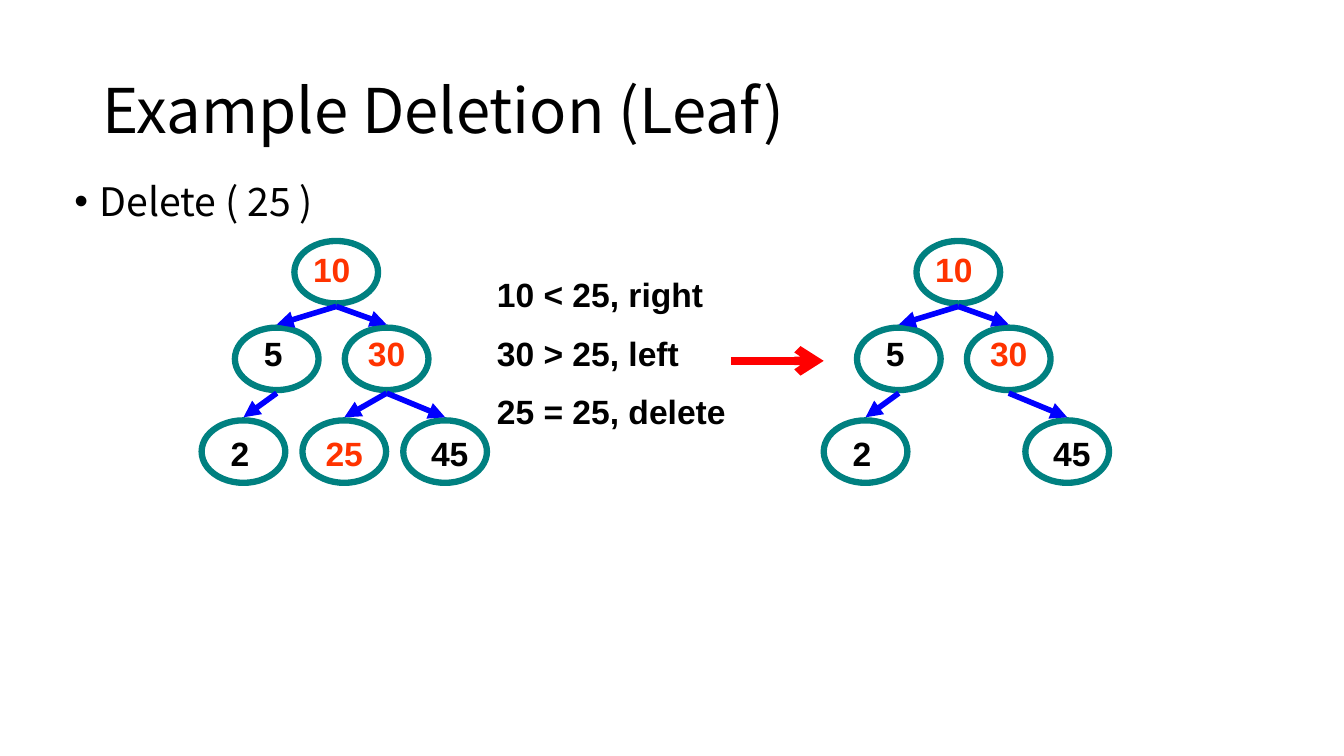
from pptx import Presentation
from pptx.dml.color import RGBColor
from pptx.enum.shapes import MSO_CONNECTOR, MSO_SHAPE
from pptx.enum.text import MSO_ANCHOR, PP_ALIGN
from pptx.oxml.ns import qn
from pptx.util import Inches, Pt
from lxml.etree import SubElement

HEADING_FONT, BODY_FONT = "Noto Sans CJK KR", "Arial"
BLACK, VISITED, TEAL, BLUE, RED = "000000", "FF3300", "008080", "0000FF", "FF0000"
NODE_W, NODE_H, EDGE_GAP = 0.83, 0.62, 0.03

# key: (node x, node y, label dx, label dy, label width), from the tree's corner
NODES = {
    10: (0.92, 0, 0.08, 0.03, 0.58),
    5: (0.33, 0.86, 0.17, 0, 0.42),
    30: (1.42, 0.86, 0.08, 0, 0.67),
    2: (0, 1.78, 0.17, 0.08, 0.42),
    25: (1, 1.78, 0.08, 0.08, 0.67),
    45: (2, 1.78, 0.17, 0.08, 0.58),
}
PARENTS = {5: 10, 30: 10, 2: 5, 25: 30, 45: 30}
SEARCH_PATH = (10, 30, 25)


def color(hex_string):
    return RGBColor.from_string(hex_string)


def add_text(slide, left, top, width, height, lines, size, font,
             ink=BLACK, bold=False, align=PP_ALIGN.LEFT, margin=0.1):
    box = slide.shapes.add_textbox(Inches(left), Inches(top), Inches(width), Inches(height))
    frame = box.text_frame
    frame.word_wrap = True
    frame.margin_left = frame.margin_right = Inches(margin)
    for index, line in enumerate(lines):
        paragraph = frame.paragraphs[0] if index == 0 else frame.add_paragraph()
        paragraph.alignment = align
        run = paragraph.add_run()
        run.text = line
        run.font.size = Pt(size)
        run.font.name = font
        run.font.bold = bold
        run.font.color.rgb = color(ink)
        # East Asian typeface keeps the same family for every script
        SubElement(run.font._element, qn("a:ea")).set("typeface", font)
    return frame


def add_arrow(slide, x1, y1, x2, y2, ink, weight, head):
    arrow = slide.shapes.add_connector(
        MSO_CONNECTOR.STRAIGHT, Inches(x1), Inches(y1), Inches(x2), Inches(y2))
    arrow.line.color.rgb = color(ink)
    arrow.line.width = Pt(weight)
    SubElement(arrow.line._get_or_add_ln(), qn("a:tailEnd")).set("type", head)
    SubElement(arrow._element.spPr, qn("a:effectLst"))


def add_title(slide, left, top, width, height):
    frame = add_text(slide, left, top, width, height,
                     ["Example Deletion (Leaf)"], 44, HEADING_FONT)
    frame.vertical_anchor = MSO_ANCHOR.MIDDLE
    frame.paragraphs[0].line_spacing = 0.9


def add_task(slide, left, top, width, height):
    frame = add_text(slide, left, top, width, height, ["Delete ( 25 )"], 28, HEADING_FONT)
    task = frame.paragraphs[0]
    task.line_spacing = 0.9
    properties = task._p.get_or_add_pPr()
    properties.set("marL", str(Inches(0.25)))
    properties.set("indent", str(Inches(-0.25)))
    SubElement(properties, qn("a:buFont")).set("typeface", "Arial")
    SubElement(properties, qn("a:buChar")).set("char", "•")


def add_steps(slide, left, top, width, height):
    steps = ["10 < 25, right", "30 > 25, left", "25 = 25, delete"]
    frame = add_text(slide, left, top, width, height, steps, 24, BODY_FONT, bold=True)
    for step in frame.paragraphs[1:]:
        step.space_before = Pt(13)


def add_tree(slide, left, top, keys):
    # Nodes
    for key in keys:
        x, y = NODES[key][:2]
        node = slide.shapes.add_shape(MSO_SHAPE.OVAL, Inches(left + x), Inches(top + y),
                                      Inches(NODE_W), Inches(NODE_H))
        node.shadow.inherit = False
        node.fill.background()
        node.line.color.rgb = color(TEAL)
        node.line.width = Pt(4.5)
    # Edges from parent to child
    for child in keys:
        if child in PARENTS:
            parent_x, parent_y = NODES[PARENTS[child]][:2]
            child_x, child_y = NODES[child][:2]
            middle = left + NODE_W / 2
            add_arrow(slide, middle + parent_x, top + parent_y + NODE_H + EDGE_GAP,
                      middle + child_x, top + child_y - EDGE_GAP, BLUE, 4, "triangle")
    # Keys
    for key in keys:
        x, y, dx, dy, width = NODES[key]
        add_text(slide, left + x + dx, top + y + dy, width, 0.5, [str(key)], 24, BODY_FONT,
                 VISITED if key in SEARCH_PATH else BLACK, True, PP_ALIGN.CENTER, 0)


def main():
    presentation = Presentation()
    presentation.slide_width = Inches(13.33)
    presentation.slide_height = Inches(7.5)
    slide = presentation.slides.add_slide(presentation.slide_layouts[6])
    add_title(slide, 0.92, 0.4, 11.5, 1.45)
    add_task(slide, 0.64, 1.76, 11.5, 4.76)
    # Before, search steps, after
    add_tree(slide, 2, 2.39, list(NODES))
    add_steps(slide, 4.83, 2.67, 2.5, 1.72)
    add_arrow(slide, 7.25, 3.58, 8.17, 3.58, RED, 6, "arrow")
    add_tree(slide, 8.17, 2.39, [key for key in NODES if key != 25])
    presentation.save("out.pptx")


if __name__ == "__main__":
    main()
